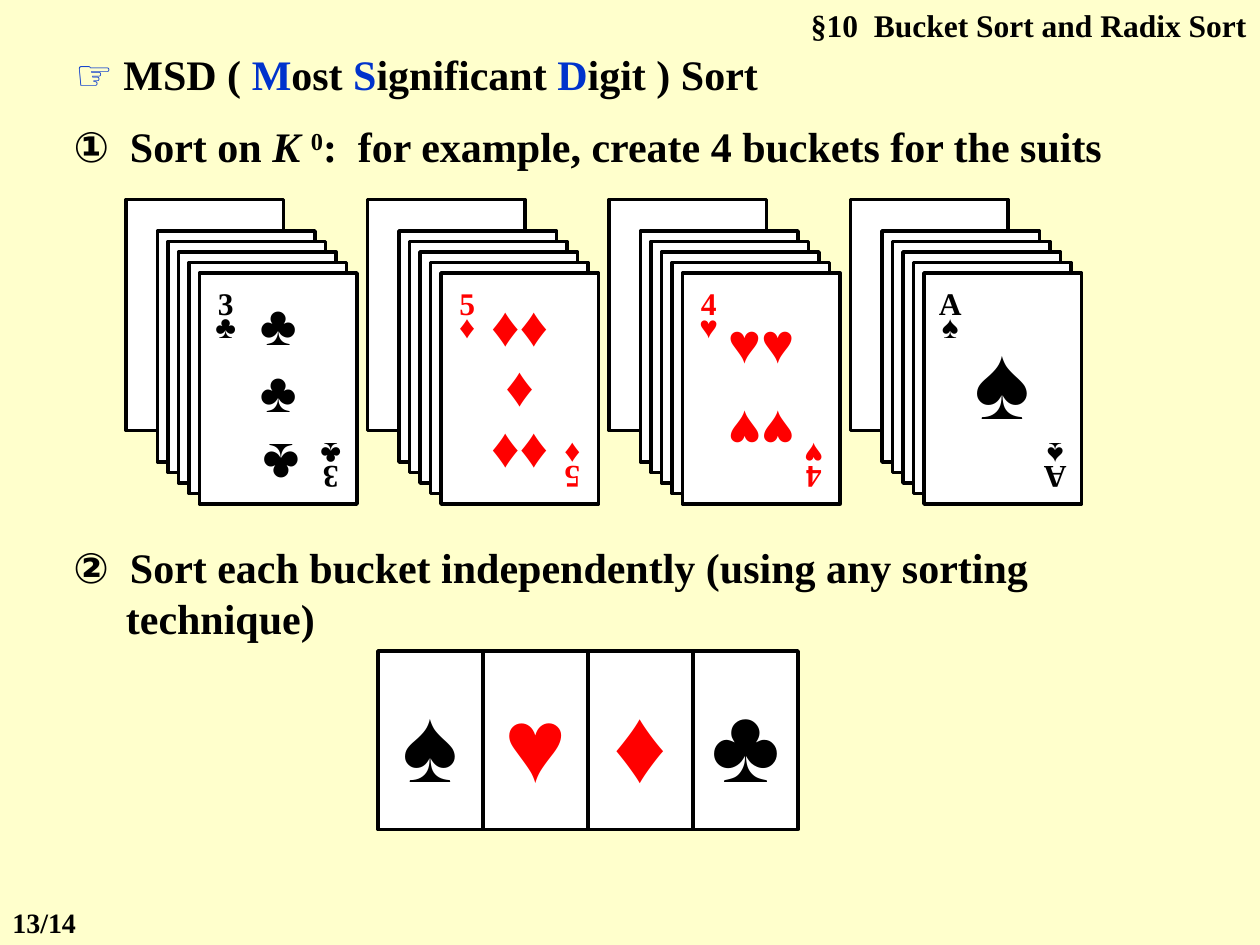
from dataclasses import dataclass
from typing import Any, NamedTuple

import pptx
import pptx.dml.color
import pptx.enum.shapes
import pptx.enum.text
import pptx.util

Pt = pptx.util.Pt
Align = pptx.enum.text.PP_ALIGN
Anchor = pptx.enum.text.MSO_ANCHOR
AutoSize = pptx.enum.text.MSO_AUTO_SIZE

COLORS = {"paper": "FFFFCC", "card": "FFFFFF", "black": "000000", "red": "FF0000", "blue": "0033CC"}
SERIF, SYMBOL = "Times New Roman", "Arial"
CARD_W, CARD_H = 90, 132
DECK_LEFT, DECK_TOP, DECK_PITCH = 72, 114, 138
CARD_OFFSETS = (0, 18, 24, 30, 36, 42)
BUCKET_LEFT, BUCKET_TOP, BUCKET_W, BUCKET_H = 216, 372, 60, 102


class Box(NamedTuple):
    left: float
    top: float
    width: float
    height: float


@dataclass
class Run:
    text: str
    size: float = 24
    color: str = "black"
    font: str = SERIF
    italic: bool = False
    superscript: bool = False


@dataclass
class Caption:
    box: Box
    runs: list[Run]
    before: float = 15
    inset: float = 7.2
    align: Any = Align.LEFT
    hanging: float = 0


@dataclass
class Pips:
    box: Box
    rows: list[str]
    size: float = 32
    spacing: float = 1.0
    rotation: float = 0


@dataclass
class Deck:
    rank: str
    suit: str
    color: str
    pips: list[Pips]


def rgb(name: str) -> pptx.dml.color.RGBColor:
    return pptx.dml.color.RGBColor.from_string(COLORS[name])


def add_run(p: Any, run: Run) -> None:
    r = p.add_run()
    r.text = run.text
    r.font.name = run.font
    r.font.size = Pt(run.size)
    r.font.bold = True
    r.font.italic = run.italic
    r.font.color.rgb = rgb(run.color)
    if run.superscript:
        r._r.get_or_add_rPr().set("baseline", "30000")


def set_frame(tf: Any, inset: float, wrap: bool, anchor: Any) -> None:
    tf.margin_left = tf.margin_right = Pt(inset)
    tf.margin_top = tf.margin_bottom = Pt(3.6)
    tf.word_wrap = wrap
    tf.vertical_anchor = anchor


def add_caption(shapes: Any, caption: Caption) -> None:
    sp = shapes.add_textbox(*map(Pt, caption.box))
    tf = sp.text_frame
    set_frame(tf, caption.inset, True, Anchor.TOP)
    tf.auto_size = AutoSize.SHAPE_TO_FIT_TEXT
    p = tf.paragraphs[0]
    p.alignment = caption.align
    p.space_before = Pt(caption.before)
    if caption.hanging:
        pPr = p._p.get_or_add_pPr()
        pPr.set("marL", str(Pt(caption.hanging)))
        pPr.set("indent", str(-Pt(caption.hanging)))
    for run in caption.runs:
        add_run(p, run)


def add_card(shapes: Any, box: Box) -> Any:
    sp = shapes.add_shape(pptx.enum.shapes.MSO_SHAPE.RECTANGLE, *map(Pt, box))
    sp.shadow.inherit = False
    sp.fill.solid()
    sp.fill.fore_color.rgb = rgb("card")
    sp.line.color.rgb = rgb("black")
    sp.line.width = Pt(2)
    return sp


def fill_centered(tf: Any, rows: list[Run], spacing: float = 1.0) -> None:
    set_frame(tf, 0, False, Anchor.MIDDLE)
    for i, run in enumerate(rows):
        p = tf.add_paragraph() if i else tf.paragraphs[0]
        p.alignment = Align.CENTER
        p.line_spacing = spacing
        add_run(p, run)


def add_mark(shapes: Any, left: float, box: Box, rows: list[Run], spacing: float, rotation: float) -> None:
    sp = shapes.add_textbox(Pt(left + box.left), Pt(DECK_TOP + box.top), Pt(box.width), Pt(box.height))
    sp.rotation = rotation
    fill_centered(sp.text_frame, rows, spacing)


def add_deck(s: Any, left: float, deck: Deck) -> None:
    shapes = s.shapes.add_group_shape().shapes
    for offset in CARD_OFFSETS:
        add_card(shapes, Box(left + offset, DECK_TOP + offset, CARD_W, CARD_H))
    corner = [Run(deck.rank, 18, deck.color), Run(deck.suit, 18, deck.color, SYMBOL)]
    add_mark(shapes, left, Box(42, 51, 30, 36), corner, 0.6, 0)
    add_mark(shapes, left, Box(102, 132, 30, 36), corner, 0.6, 180)
    for pips in deck.pips:
        rows = [Run(row, pips.size, deck.color, SYMBOL) for row in pips.rows]
        add_mark(shapes, left, pips.box, rows, pips.spacing, pips.rotation)


CAPTIONS = [
    Caption(Box(36, 24, 648, 36), [
        Run("☞", color="blue", font=SYMBOL), Run(" MSD ( "),
        Run("M", color="blue"), Run("ost "),
        Run("S", color="blue"), Run("ignificant "),
        Run("D", color="blue"), Run("igit ) Sort")]),
    Caption(Box(42, 65.5, 630, 36), [
        Run("①", font=SYMBOL), Run("  Sort on "), Run("K ", italic=True),
        Run("0", superscript=True),
        Run(":  for example, create 4 buckets for the suits")], inset=0),
    Caption(Box(42, 306, 642, 65), [
        Run("②", font=SYMBOL),
        Run("  Sort each bucket independently (using any sorting technique)")],
        inset=0, hanging=30),
    Caption(Box(420, 0, 299.5, 29), [Run("§10  Bucket Sort and Radix Sort", 18)],
            before=11.2, align=Align.RIGHT),
    Caption(Box(0, 514, 70.5, 26.5), [Run("13/14", 16)], before=10),
]

DECKS = [
    Deck("3", "♣", "black", [
        Pips(Box(63, 54, 48, 72), ["♣", "♣"]),
        Pips(Box(66, 132, 45, 42), ["♣"], rotation=180)]),
    Deck("5", "♦", "red", [Pips(Box(63, 54, 48, 108), ["♦♦", "♦", "♦♦"], spacing=0.9)]),
    Deck("4", "♥", "red", [
        Pips(Box(63, 60, 48, 42), ["♥♥"]),
        Pips(Box(63, 113, 48, 42), ["♥♥"], rotation=180)]),
    Deck("A", "♠", "black", [Pips(Box(63, 66, 48, 72), ["♠"], size=60)]),
]

BUCKETS = [("♠", "black"), ("♥", "red"), ("♦", "red"), ("♣", "black")]


def main() -> None:
    prs = pptx.Presentation()
    prs.slide_width, prs.slide_height = Pt(720), Pt(540)
    s = prs.slides.add_slide(prs.slide_layouts[6])
    s.background.fill.solid()
    s.background.fill.fore_color.rgb = rgb("paper")
    for caption in CAPTIONS:
        add_caption(s.shapes, caption)
    for i, deck in enumerate(DECKS):
        add_deck(s, DECK_LEFT + i * DECK_PITCH, deck)
    for i, (suit, color) in enumerate(BUCKETS):
        sp = add_card(s.shapes, Box(BUCKET_LEFT + i * BUCKET_W, BUCKET_TOP, BUCKET_W, BUCKET_H))
        fill_centered(sp.text_frame, [Run(suit, 60, color, SYMBOL)])
    prs.save("out.pptx")


if __name__ == "__main__":
    main()
